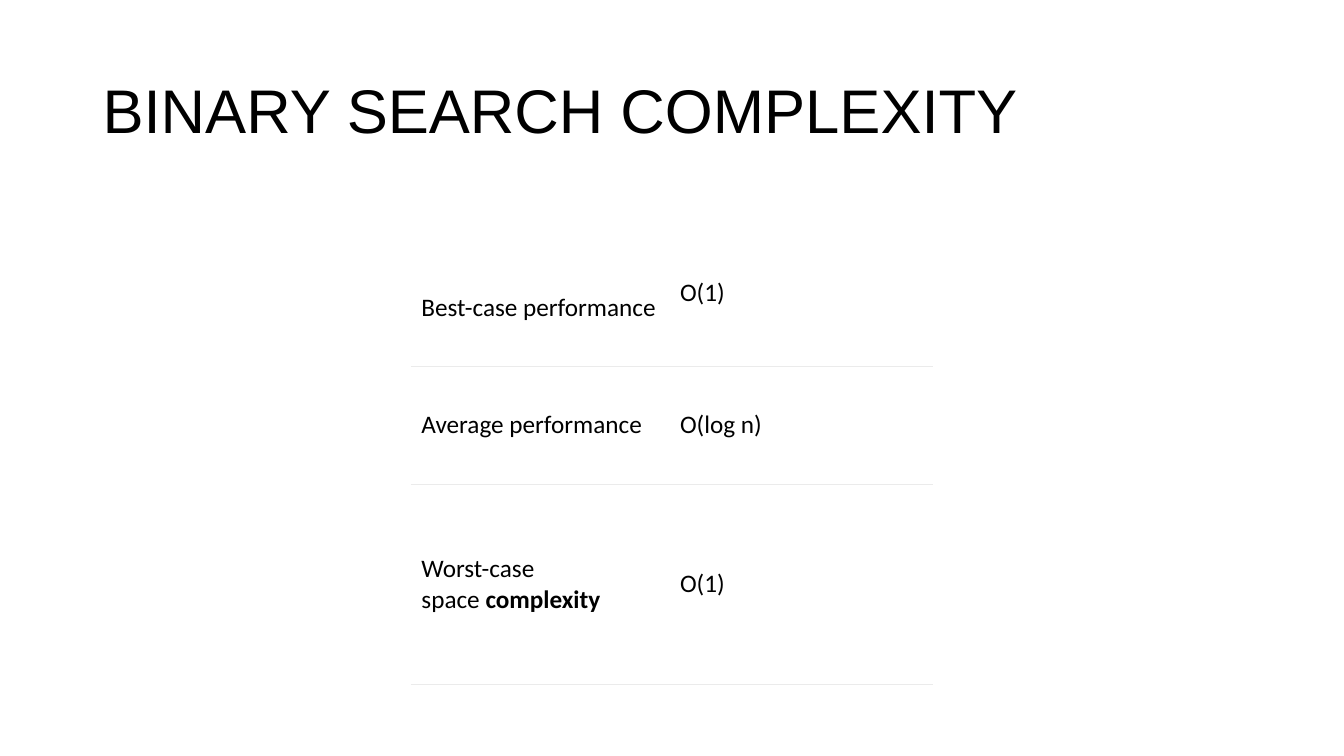
from dataclasses import dataclass
from lxml import etree
from pptx import Presentation
from pptx.dml.color import RGBColor
from pptx.enum.text import MSO_ANCHOR
from pptx.oxml.ns import qn
from pptx.util import Inches, Pt

MIDDLE = MSO_ANCHOR.MIDDLE
WIDE, HIGH = 13.33, 7.5


@dataclass(frozen=True)
class Theme:
    ink: str = "000000"
    paper: str = "FFFFFF"
    rule: str = "EBEBEB"
    head: str = "Arial"
    body: str = "Calibri"
    large: int = 44
    small: int = 18
    line: float = 0.6


THEME = Theme()
ROWS = [
    (["Best-case performance"], "O(1)"),
    (["Average performance"], "O(log n)"),
    (["Worst-case space\u00a0", "complexity"], "O(1)"),
]
SHARES = [0.27, 0.27, 0.46]


def style(run, face, size, bold=False):
    run.font.name = face
    run.font.size = Pt(size)
    run.font.bold = bold
    run.font.color.rgb = RGBColor.from_string(THEME.ink)


def add_title(slide, box, text):
    frame = slide.shapes.add_textbox(*map(Inches, box)).text_frame
    frame.word_wrap = True
    frame.vertical_anchor = MIDDLE
    frame.text = text
    para = frame.paragraphs[0]
    para.line_spacing = 0.9
    style(para.runs[0], THEME.head, THEME.large)


def add_rule(cell, side, place):
    line = etree.Element(qn(f"a:{side}"), w=str(Pt(THEME.line)))
    fill = etree.SubElement(line, qn("a:solidFill"))
    etree.SubElement(fill, qn("a:srgbClr"), val=THEME.rule)
    cell._tc.get_or_add_tcPr().insert(place, line)


def fill_cell(cell, parts, left, top_rule):
    cell.fill.solid()
    cell.fill.fore_color.rgb = RGBColor.from_string(THEME.paper)
    cell.vertical_anchor = MIDDLE
    cell.margin_left, cell.margin_right = Inches(left), Inches(0.08)
    cell.margin_top = cell.margin_bottom = Inches(0.07)
    para = cell.text_frame.paragraphs[0]
    for i, part in enumerate(parts):
        run = para.add_run()
        run.text = part
        style(run, THEME.body, THEME.small, bold=i > 0)
    add_rule(cell, "lnB", 0)
    if top_rule:
        add_rule(cell, "lnT", 0)


def add_costs(slide, box, rows):
    left, top, width, height = box
    table = slide.shapes.add_table(len(rows), 2, *map(Inches, box)).table
    table.first_row = table.horz_banding = False
    for col in table.columns:
        col.width = Inches(width / 2)
    for r, (label, cost) in enumerate(rows):
        table.rows[r].height = Inches(height * SHARES[r])
        fill_cell(table.cell(r, 0), label, 0.1, r > 0)
        fill_cell(table.cell(r, 1), [cost], 0.08, r > 0)
    table.cell(0, 1).margin_bottom = Inches(0.37)


def main():
    deck = Presentation()
    deck.slide_width, deck.slide_height = Inches(WIDE), Inches(HIGH)
    slide = deck.slides.add_slide(deck.slide_layouts[6])
    add_title(slide, (0.92, 0.4, 11.5, 1.45), "BINARY SEARCH COMPLEXITY")
    add_costs(slide, (4.08, 2.47, 5.17, 4.32), ROWS)
    deck.save("out.pptx")


main()
